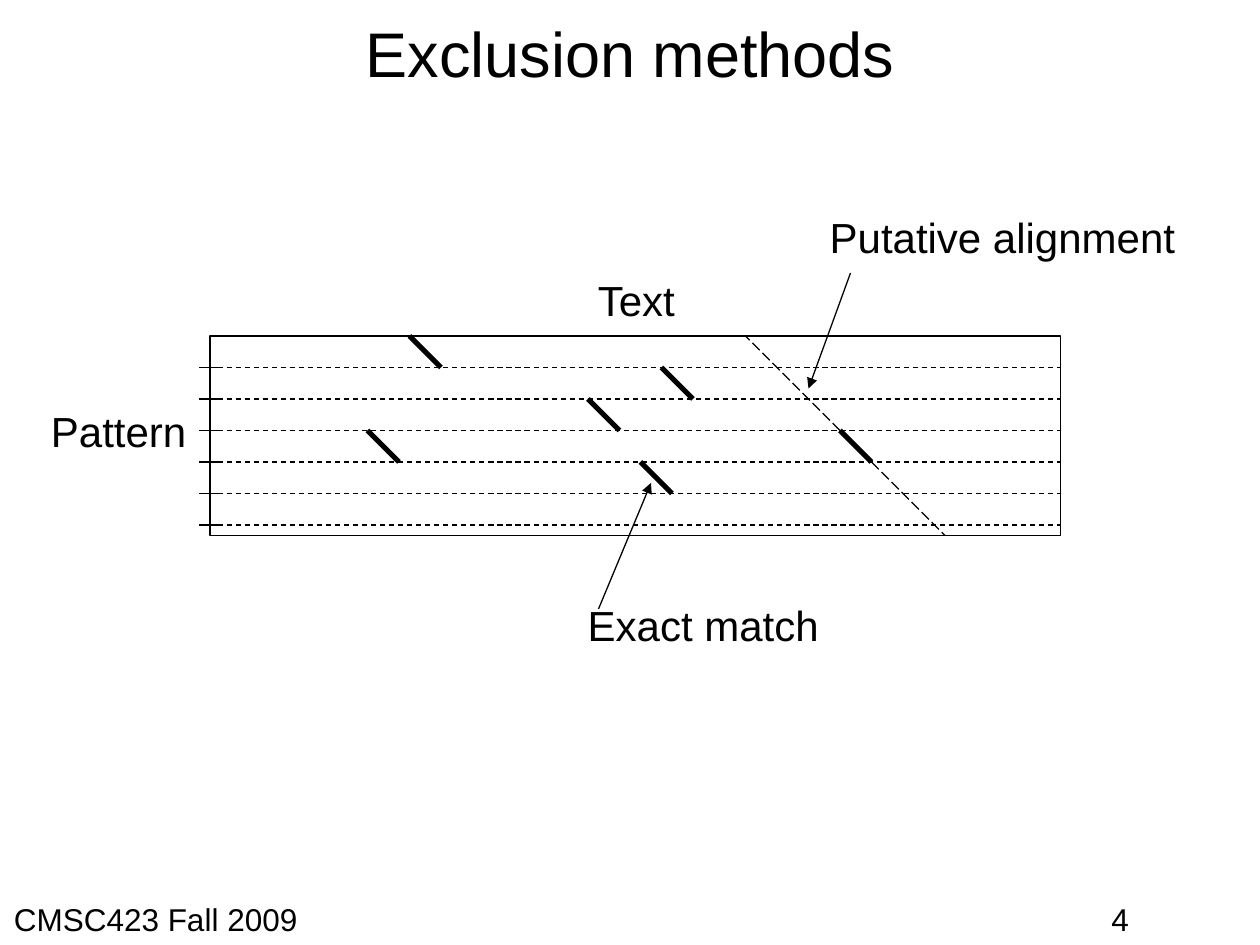
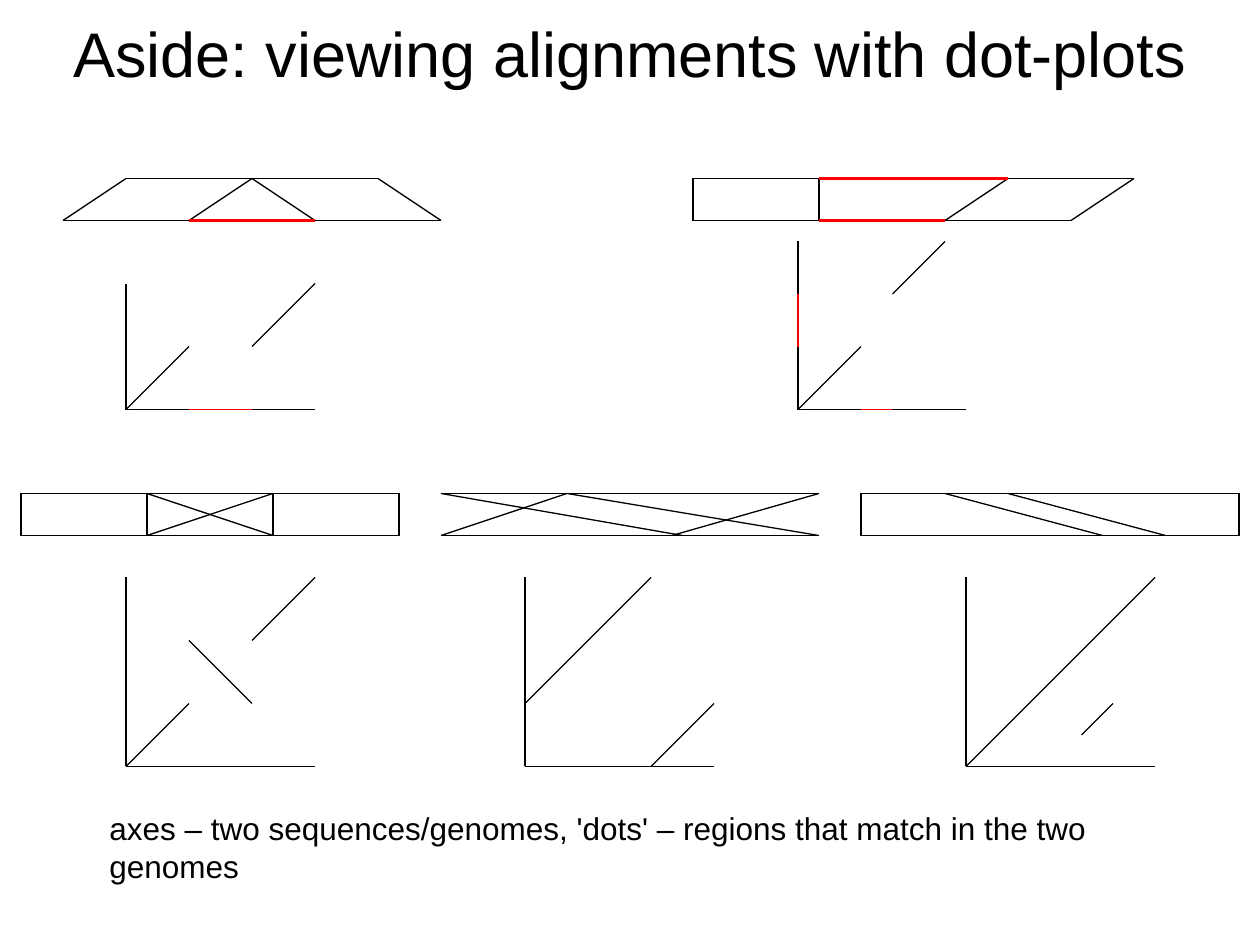
from lxml import etree
from pptx import Presentation
from pptx import util as u
from pptx.dml.color import RGBColor
from pptx.enum import dml, shapes, text
from pptx.oxml.ns import qn

HUES = {"ink": "000000", "red": "FF0000"}
FONT = "Arial"
STRIP = 4


def unit(n):
    """Turn twelfths of an inch, the drawing grid, into a length."""
    return u.Inches(n / 12)


def write(slide, words, left, top, wide, high, size=24, align="LEFT",
          anchor="TOP", wrap=True, pad=(0.1, 0.05)):
    """Add a text box, placed in inches, with one run of text."""
    box = slide.shapes.add_textbox(*map(u.Inches, (left, top, wide, high)))
    frame = box.text_frame
    frame.word_wrap = wrap
    frame.margin_left = frame.margin_right = u.Inches(pad[0])
    frame.margin_top = frame.margin_bottom = u.Inches(pad[1])
    frame.vertical_anchor = text.MSO_ANCHOR[anchor]
    para = frame.paragraphs[0]
    para.alignment = text.PP_ALIGN[align]
    run = para.add_run()
    run.text = words
    run.font.name, run.font.size = FONT, u.Pt(size)
    run.font.color.rgb = RGBColor.from_string(HUES["ink"])


def draw(slide, base, ends, hue="ink", width=0.75, dash=None, arrow=False):
    """Add a line whose ends are grid steps from the base point."""
    x, y = base
    x1, y1, x2, y2 = ends
    line = slide.shapes.add_connector(
        shapes.MSO_CONNECTOR.STRAIGHT,
        unit(x + x1), unit(y + y1), unit(x + x2), unit(y + y2))
    line.line.color.rgb = RGBColor.from_string(HUES[hue])
    line.line.width = u.Pt(width)
    if dash:
        line.line.dash_style = dml.MSO_LINE[dash]
    props = line._element.spPr
    if arrow:
        etree.SubElement(props.find(qn("a:ln")), qn("a:tailEnd"), type="triangle")
    etree.SubElement(props, qn("a:effectLst"))


def title(slide, words):
    """Add the centred slide title."""
    write(slide, words, 0.1, 0.08, 9.8, 0.67, size=36, align="CENTER",
          anchor="MIDDLE")


def footer(slide, course, page):
    """Add the course name and the page number."""
    write(slide, course, 0.11, 7.14, 8.71, 0.36, size=18, pad=(0, 0))
    write(slide, page, 8.82, 7.14, 1.08, 0.36, size=18, pad=(0, 0))


def matrix(slide, base, wide, high):
    """Draw the text against pattern matrix with its matches and labels."""
    x, y = base
    frame = slide.shapes.add_shape(
        shapes.MSO_SHAPE.RECTANGLE, *map(unit, (x, y, wide, high)))
    frame.shadow.inherit = False
    frame.fill.background()
    frame.line.color.rgb = RGBColor.from_string(HUES["ink"])
    frame.line.width = u.Pt(0.75)
    step = 3
    for row in range(step, high, step):
        draw(slide, base, (-1, row, 1, row))
        draw(slide, base, (-1, row, wide, row), dash="DASH")
    for col, row in [(19, 0), (15, 9), (36, 6), (41, 12), (43, 3), (60, 9)]:
        draw(slide, base, (col, row, col + step, row + step), width=3)
    for ends in [(60, 9, 51, 0), (63, 12, 70, 19)]:
        draw(slide, base, ends, dash="LONG_DASH")
    for ends in [(37, 26, 42, 14), (61, -6, 57, 5)]:
        draw(slide, base, ends, arrow=True)
    for words, dx, dy, span in [
            ("Exact match", 2.9, 2.04, 2.2),
            ("Putative alignment", 4.82, -1.04, 3.1),
            ("Text", 2.98, -0.54, 1),
            ("Pattern", -1.36, 0.5, 1.4)]:
        write(slide, words, x / 12 + dx, y / 12 + dy, span, 0.5, wrap=False)


def strip(slide, base, upper, lower, links, marks=()):
    """Draw two sequences, links from upper to lower, and red marks."""
    draw(slide, base, (upper[0], 0, upper[1], 0))
    draw(slide, base, (lower[0], STRIP, lower[1], STRIP))
    for high, low in links:
        draw(slide, base, (high, 0, low, STRIP))
    for start, end, row in marks:
        draw(slide, base, (start, row, end, row), hue="red", width=2.25)


def plot(slide, base, wide, high, dots, gaps=()):
    """Draw a dot-plot up from its origin, with red gaps on the axes."""
    axes = [(0, 0, 0, high), (0, 0, wide, 0)]
    for hue, width, group in (("ink", 0.75, axes + dots), ("red", 1, gaps)):
        for x1, y1, x2, y2 in group:
            draw(slide, base, (x1, -y1, x2, -y2), hue=hue, width=width)


def methods(slide):
    """Build the slide on exclusion methods."""
    title(slide, "Exclusion methods")
    matrix(slide, (20, 32), 81, 19)
    footer(slide, "CMSC423 Fall 2009", "4")


def views(slide):
    """Build the slide on dot-plots."""
    title(slide, "Aside: viewing alignments with dot-plots")
    full = (0, 36)
    sides = [(0, 0), (36, 36)]
    strip(slide, (6, 17), (6, 30), full,
          [(6, 0), (18, 12), (18, 24), (30, 36)], [(12, 24, STRIP)])
    strip(slide, (66, 17), (0, 42), full,
          [(0, 0), (12, 12), (30, 24), (42, 36)],
          [(12, 24, STRIP), (12, 30, 0)])
    for left, links in [
            (2, sides + [(12, 12), (24, 24), (12, 24), (24, 12)]),
            (42, [(12, 0), (12, 36), (0, 23), (36, 22)]),
            (82, sides + [(14, 29), (8, 23)])]:
        strip(slide, (left, 47), full, full, links)
    plot(slide, (12, 39), 18, 12, [(0, 0, 6, 6), (12, 6, 18, 12)],
         [(6, 0, 12, 0)])
    plot(slide, (76, 39), 16, 16, [(0, 0, 6, 6), (9, 11, 14, 16)],
         [(6, 0, 9, 0), (0, 6, 0, 11)])
    for left, dots in [
            (12, [(0, 0, 6, 6), (12, 12, 18, 18), (6, 12, 12, 6)]),
            (50, [(0, 6, 12, 18), (12, 0, 18, 6)]),
            (92, [(0, 0, 18, 18), (11, 3, 14, 6)])]:
        plot(slide, (left, 73), 18, 18, dots)
    write(slide, "axes – two sequences/genomes, 'dots' – regions that match "
          "in the two genomes", 0.77, 6.37, 8.7, 0.7, size=18)


def main():
    """Build and save the deck."""
    deck = Presentation()
    deck.slide_width, deck.slide_height = u.Inches(10), u.Inches(7.5)
    for build in (methods, views):
        build(deck.slides.add_slide(deck.slide_layouts[6]))
    deck.save("out.pptx")


if __name__ == "__main__":
    main()
